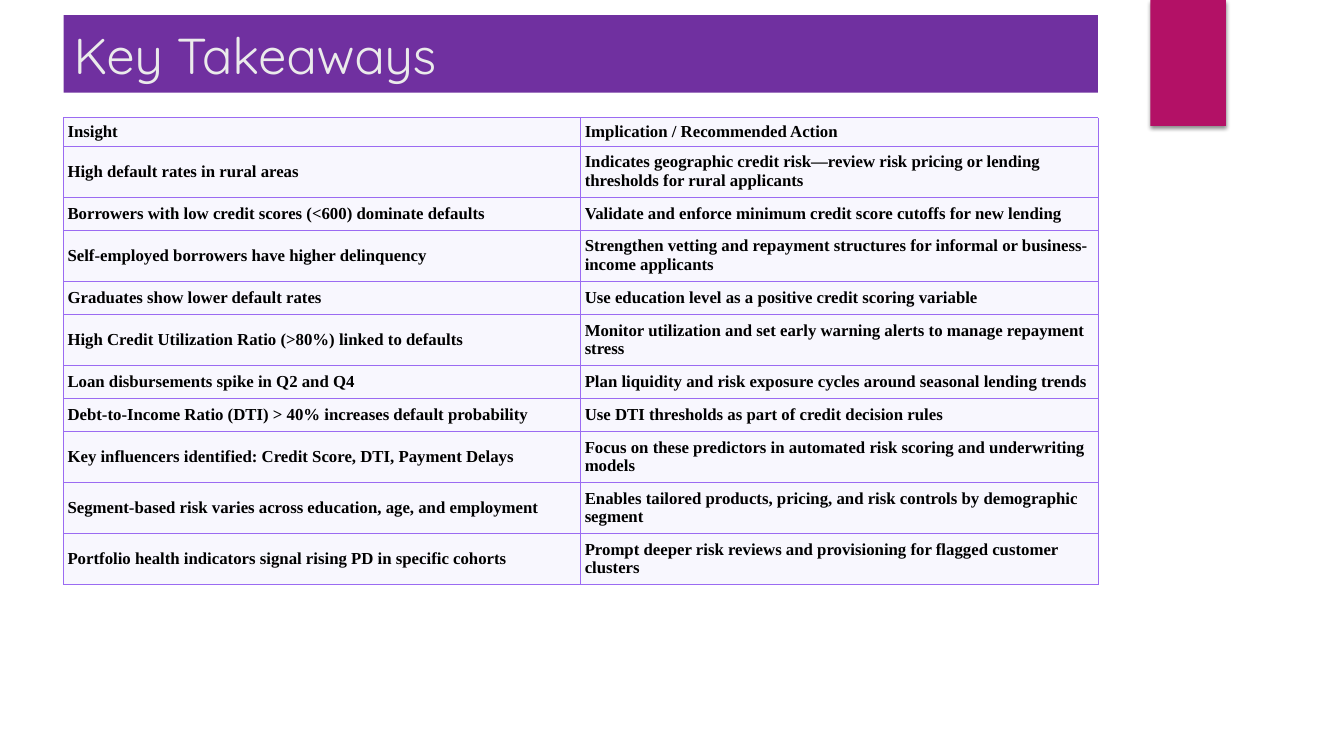
from collections import namedtuple
from dataclasses import dataclass

from lxml import etree
from pptx import Presentation
from pptx import util as u
from pptx.dml.color import RGBColor
from pptx.enum import shapes, text
from pptx.oxml import parse_xml
from pptx.oxml.ns import qn

Box = namedtuple("Box", "left top width height")


@dataclass(frozen=True)
class Theme:
    banner: str = "7030A0"
    banner_text: str = "EBEBEB"
    tab: str = "B31166"
    cell: str = "F8F7FE"
    border: str = "9B6BF2"
    ink: str = "000000"
    title_font: str = "Quicksand"
    body_font: str = "Times New Roman"
    title_size: int = 36
    body_size: int = 12
    border_width: float = 0.75


THEME = Theme()

# Layout in inches; the title and table share one column
CONTENT_LEFT, CONTENT_WIDTH = 0.63, 10.26
TITLE_BOX = Box(CONTENT_LEFT, 0.15, CONTENT_WIDTH, 0.77)
TABLE_BOX = Box(CONTENT_LEFT, 1.17, CONTENT_WIDTH, 4.63)
TAB_BOX = Box(11.41, 0, 0.75, 1.25)

# Relative row heights
HEADER, SINGLE, DOUBLE = 28, 33, 51

TAKEAWAYS = [
    (HEADER, "Insight", "Implication / Recommended Action"),
    (DOUBLE, "High default rates in rural areas",
     "Indicates geographic credit risk—review risk pricing or lending thresholds for rural applicants"),
    (SINGLE, "Borrowers with low credit scores (<600) dominate defaults",
     "Validate and enforce minimum credit score cutoffs for new lending"),
    (DOUBLE, "Self-employed borrowers have higher delinquency",
     "Strengthen vetting and repayment structures for informal or business-income applicants"),
    (SINGLE, "Graduates show lower default rates",
     "Use education level as a positive credit scoring variable"),
    (DOUBLE, "High Credit Utilization Ratio (>80%) linked to defaults",
     "Monitor utilization and set early warning alerts to manage repayment stress"),
    (SINGLE, "Loan disbursements spike in Q2 and Q4",
     "Plan liquidity and risk exposure cycles around seasonal lending trends"),
    (SINGLE, "Debt-to-Income Ratio (DTI) > 40% increases default probability",
     "Use DTI thresholds as part of credit decision rules"),
    (DOUBLE, "Key influencers identified: Credit Score, DTI, Payment Delays",
     "Focus on these predictors in automated risk scoring and underwriting models"),
    (DOUBLE, "Segment-based risk varies across education, age, and employment",
     "Enables tailored products, pricing, and risk controls by demographic segment"),
    (DOUBLE, "Portfolio health indicators signal rising PD in specific cohorts",
     "Prompt deeper risk reviews and provisioning for flagged customer clusters"),
]

SHADOW_XML = (
    '<a:effectLst xmlns:a="http://schemas.openxmlformats.org/drawingml/2006/main">'
    '<a:outerShdw blurRad="38100" dist="25400" dir="5400000" rotWithShape="0">'
    '<a:srgbClr val="000000"><a:alpha val="45000"/></a:srgbClr>'
    '</a:outerShdw></a:effectLst>'
)


def inches(box):
    return [u.Inches(length) for length in box]


def paint(fill, color):
    fill.solid()
    fill.fore_color.rgb = RGBColor.from_string(color)


def style_font(font, name, size, color, bold=False):
    font.name, font.size, font.bold = name, u.Pt(size), bold
    font.color.rgb = RGBColor.from_string(color)


def add_corner_tab(slide, box):
    tab = slide.shapes.add_shape(shapes.MSO_SHAPE.RECTANGLE, *inches(box))
    paint(tab.fill, THEME.tab)
    tab.line.fill.background()
    # Soft shadow straight below
    tab._element.spPr.append(parse_xml(SHADOW_XML))


def place_title(slide, box, wording):
    title = slide.shapes.title
    title.left, title.top, title.width, title.height = inches(box)
    paint(title.fill, THEME.banner)
    frame = title.text_frame
    frame.text = wording
    frame.word_wrap = True
    frame.auto_size = text.MSO_AUTO_SIZE.NONE
    frame.vertical_anchor = text.MSO_ANCHOR.MIDDLE
    paragraph = frame.paragraphs[0]
    paragraph.alignment = text.PP_ALIGN.LEFT
    style_font(paragraph.font, THEME.title_font, THEME.title_size, THEME.banner_text)


def add_borders(cell):
    properties = cell._tc.get_or_add_tcPr()
    for position, side in enumerate(("lnL", "lnR", "lnT", "lnB")):
        line = etree.Element(qn(f"a:{side}"), w=str(u.Pt(THEME.border_width)))
        fill = etree.SubElement(line, qn("a:solidFill"))
        etree.SubElement(fill, qn("a:srgbClr"), val=THEME.border)
        properties.insert(position, line)


def fill_cell(cell, wording):
    cell.text = wording
    cell.vertical_anchor = text.MSO_ANCHOR.MIDDLE
    cell.margin_left = cell.margin_right = u.Inches(0.04)
    cell.margin_top = cell.margin_bottom = u.Inches(0.02)
    paint(cell.fill, THEME.cell)
    style_font(cell.text_frame.paragraphs[0].font, THEME.body_font,
               THEME.body_size, THEME.ink, bold=True)
    add_borders(cell)


def add_takeaway_table(slide, box, rows):
    columns = len(rows[0]) - 1
    table = slide.shapes.add_table(len(rows), columns, *inches(box)).table
    table.first_row = table.horz_banding = False
    total = sum(weight for weight, *_ in rows)
    for row, (weight, *wordings) in zip(table.rows, rows):
        row.height = u.Inches(box.height * weight / total)
        for cell, wording in zip(row.cells, wordings):
            fill_cell(cell, wording)


def build_takeaways_slide(presentation):
    title_only = presentation.slide_layouts[5]
    slide = presentation.slides.add_slide(title_only)
    add_corner_tab(slide, TAB_BOX)
    place_title(slide, TITLE_BOX, "Key Takeaways")
    add_takeaway_table(slide, TABLE_BOX, TAKEAWAYS)


def main():
    presentation = Presentation()
    presentation.slide_width = u.Inches(13.33)
    presentation.slide_height = u.Inches(7.5)
    build_takeaways_slide(presentation)
    presentation.save("out.pptx")


if __name__ == "__main__":
    main()
